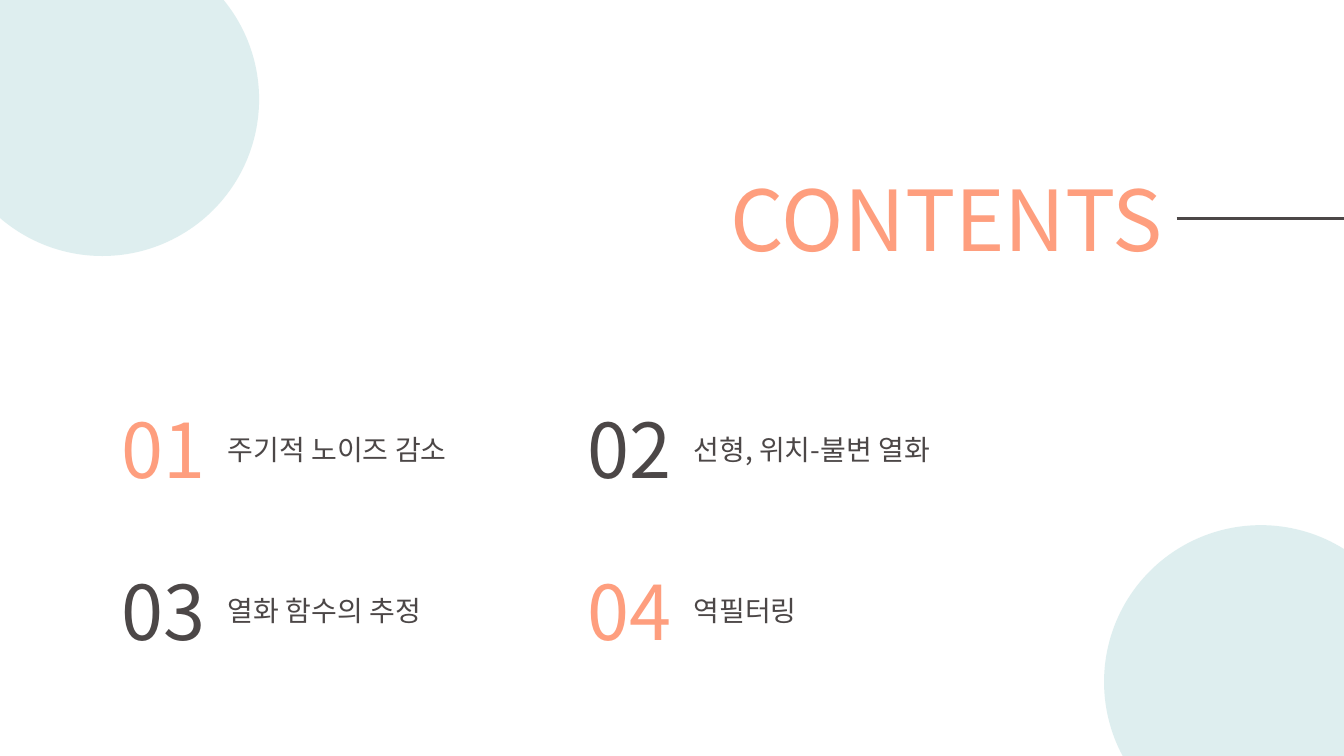
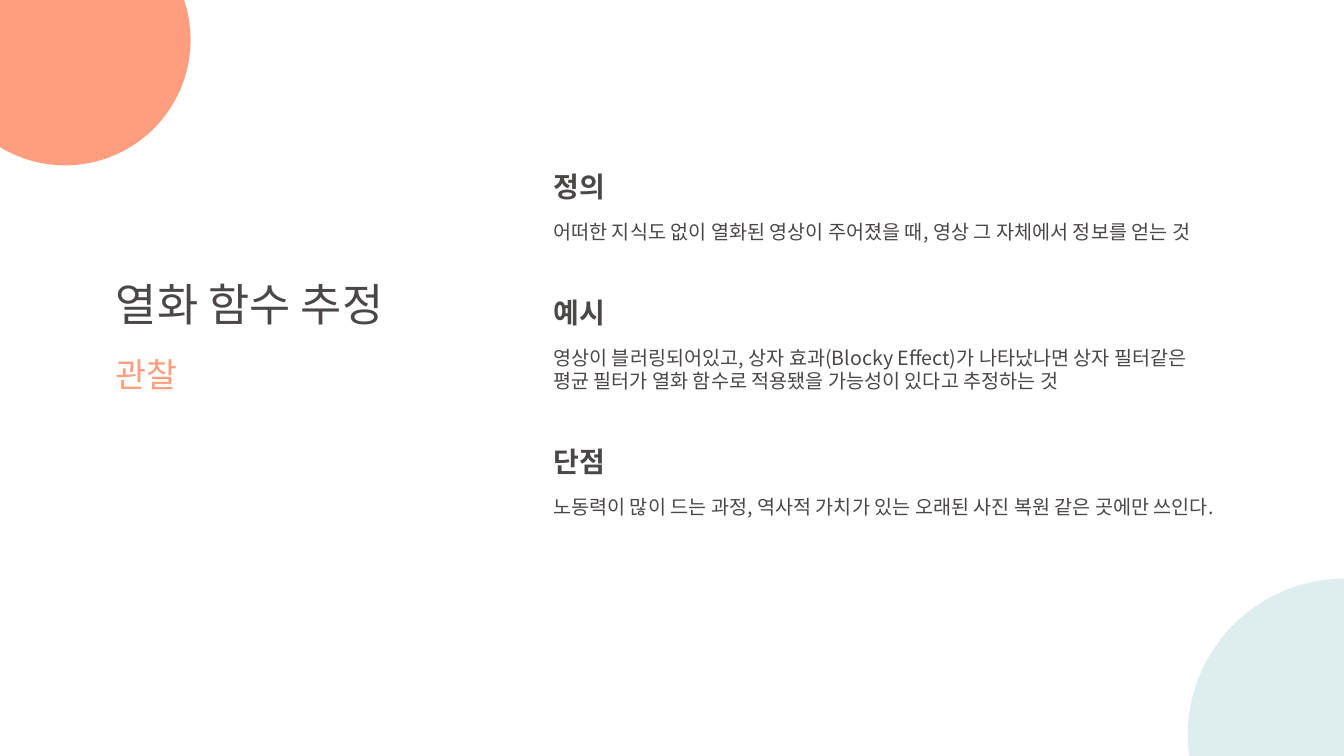
from lxml import etree
from pptx import Presentation
from pptx.dml.color import RGBColor
from pptx.enum.shapes import MSO_CONNECTOR, MSO_SHAPE
from pptx.enum.text import MSO_ANCHOR, MSO_AUTO_SIZE, PP_ALIGN
from pptx.oxml.ns import qn
from pptx.util import Inches, Pt

ELLIPSE = MSO_SHAPE.OVAL
STRAIGHT = MSO_CONNECTOR.STRAIGHT
TOP = MSO_ANCHOR.TOP
LEFT = PP_ALIGN.LEFT
NO_AUTOFIT = MSO_AUTO_SIZE.NONE

FONT = "Noto Sans CJK KR"
CORAL = "FE9E7E"
MINT = "C8E4E5"
DARK = "4C4747"
SLIDE_W, SLIDE_H = 13.33, 7.5
RIGHT_SIDE = 3
TITLE_ONLY = 5

CONTENTS = [
    ["주기적 노이즈 감소", "선형, 위치-불변 열화"],
    ["열화 함수의 추정", "역필터링"],
]
SECTIONS = [
    ("정의", ["어떠한 지식도 없이 열화된 영상이 주어졌을 때, 영상 그 자체에서 정보를 얻는 것"]),
    ("예시", ["영상이 블러링되어있고, 상자 효과(Blocky Effect)가 나타났나면 상자 필터같은",
            "평균 필터가 열화 함수로 적용됐을 가능성이 있다고 추정하는 것"]),
    ("단점", ["노동력이 많이 드는 과정, 역사적 가치가 있는 오래된 사진 복원 같은 곳에만 쓰인다."]),
]


def rgb(color):
    return RGBColor.from_string(color)


def write(tf, lines, size, color, bold=False):
    tf.word_wrap = True
    tf.auto_size = NO_AUTOFIT
    tf.vertical_anchor = TOP
    tf.margin_right = 0
    for i, line in enumerate(lines):
        p = tf.add_paragraph() if i else tf.paragraphs[0]
        p.alignment = LEFT
        r = p.add_run()
        r.text = line
        r.font.size = Pt(size)
        r.font.name = FONT
        r.font.bold = bold
        r.font.color.rgb = rgb(color)
        ea = etree.SubElement(r.font._element, qn("a:ea"))
        ea.set("typeface", FONT)


def add_text(s, left, top, width, height, lines, size, color, bold=False):
    sp = s.shapes.add_textbox(Inches(left), Inches(top), Inches(width), Inches(height))
    write(sp.text_frame, lines, size, color, bold)


def add_title(s, left, top, width, height, text, size, color):
    sp = s.shapes.title
    sp.left, sp.top = Inches(left), Inches(top)
    sp.width, sp.height = Inches(width), Inches(height)
    write(sp.text_frame, [text], size, color)
    return sp


def add_circle(s, left, top, size, color, opacity=100):
    sp = s.shapes.add_shape(ELLIPSE, Inches(left), Inches(top), Inches(size), Inches(size))
    sp.shadow.inherit = False
    sp.line.fill.background()
    sp.fill.solid()
    sp.fill.fore_color.rgb = rgb(color)
    if opacity < 100:
        srgb = sp._element.spPr.find(qn("a:solidFill")).find(qn("a:srgbClr"))
        etree.SubElement(srgb, qn("a:alpha")).set("val", str(opacity * 1000))


def add_mint_circle(s, left, top):
    add_circle(s, left, top, 3.11, MINT, 60)


def add_title_rule(s, title):
    y = title.top + title.height // 2
    line = s.shapes.add_connector(STRAIGHT, title.left + title.width, y, Inches(SLIDE_W), y)
    line.begin_connect(title, RIGHT_SIDE)
    line.line.color.rgb = rgb(DARK)
    line.line.width = Pt(2.25)
    etree.SubElement(line._element.spPr, qn("a:effectLst"))


def add_contents_item(s, row, col, label):
    left = 1.11 + 4.62 * col
    top = 3.95 + 1.6 * row
    number = row * len(CONTENTS[0]) + col + 1
    color = CORAL if row == col else DARK
    add_text(s, left, top, 1.05, 1.01, [f"{number:02d}"], 54, color)
    add_text(s, left + 1.05, top + 0.29, 2.5, 0.44, [label], 20, DARK)


def build_contents(prs):
    s = prs.slides.add_slide(prs.slide_layouts[TITLE_ONLY])
    title = add_title(s, 7.15, 1.61, 4.52, 1.11, "CONTENTS", 60, CORAL)
    add_title_rule(s, title)
    add_mint_circle(s, -0.54, -0.57)
    add_mint_circle(s, 10.95, 5.21)
    for row, labels in enumerate(CONTENTS):
        for col, label in enumerate(labels):
            add_contents_item(s, row, col, label)


def build_observation(prs):
    s = prs.slides.add_slide(prs.slide_layouts[TITLE_ONLY])
    add_circle(s, -0.6, -0.85, 2.49, CORAL)
    add_mint_circle(s, 11.78, 5.74)
    add_title(s, 1.05, 2.69, 3.21, 0.64, "열화 함수 추정", 32, DARK)
    add_text(s, 1.05, 3.46, 0.88, 0.5, ["관찰"], 24, CORAL)
    top = 1.63
    for heading, lines in SECTIONS:
        text_height = 0.11 + 0.23 * len(lines)
        add_text(s, 5.39, top, 0.76, 0.44, [heading], 20, DARK, bold=True)
        add_text(s, 5.39, top + 0.5, 7.74, text_height, lines, 14, DARK)
        top += text_height + 0.91


def main():
    prs = Presentation()
    prs.slide_width, prs.slide_height = Inches(SLIDE_W), Inches(SLIDE_H)
    build_contents(prs)
    build_observation(prs)
    prs.save("out.pptx")


if __name__ == "__main__":
    main()
